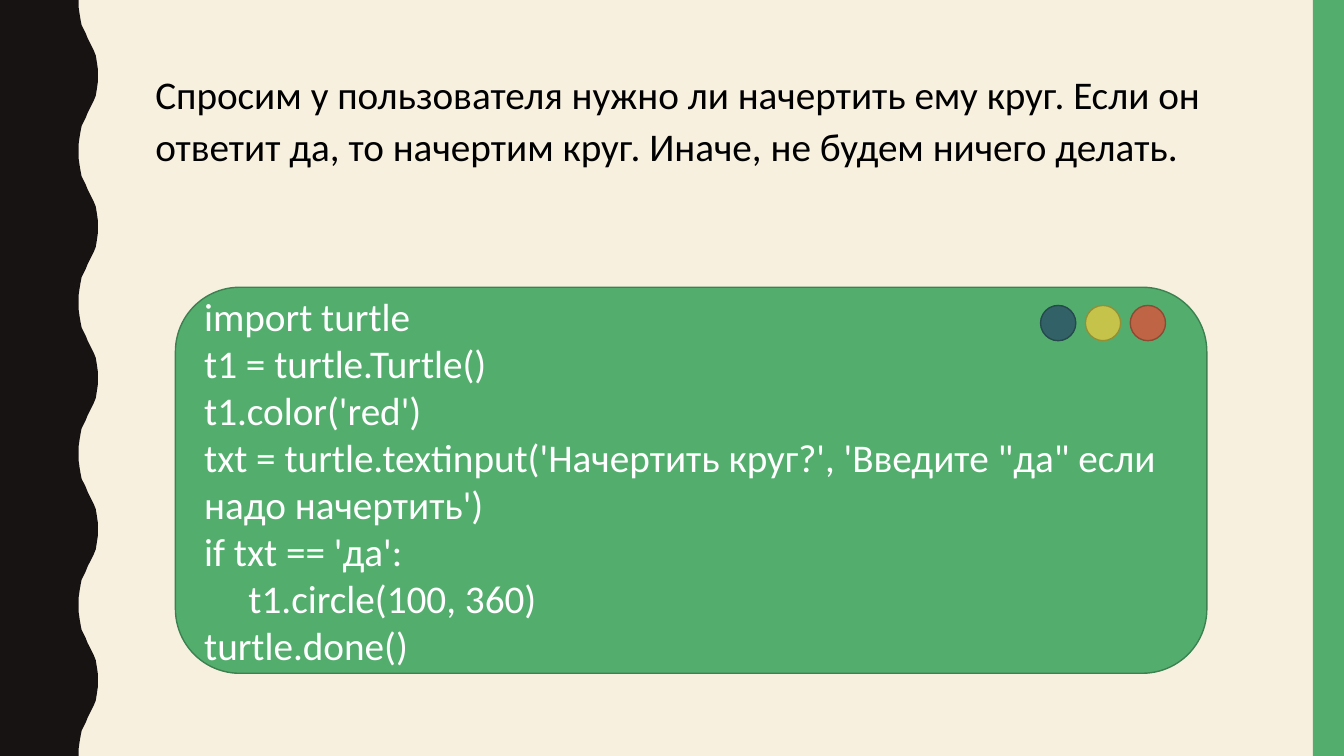
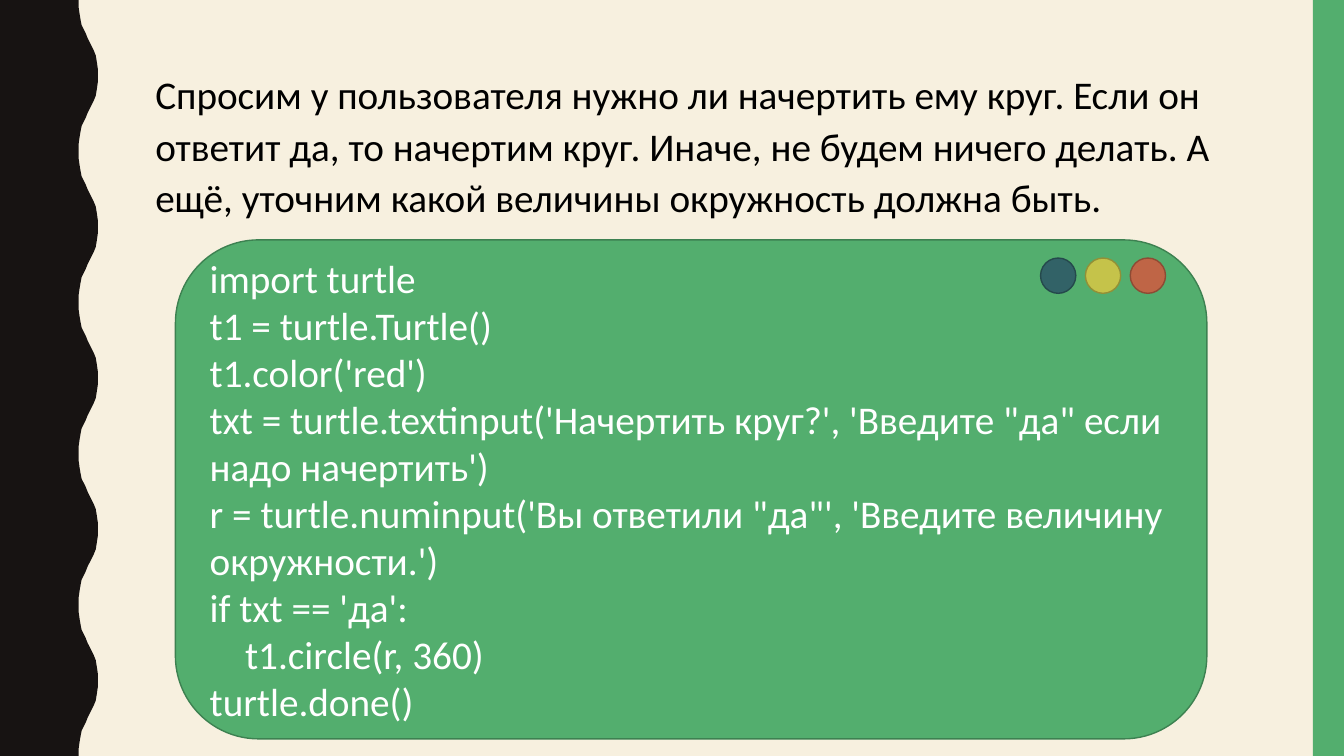
from pptx import Presentation
from pptx import util as u
from pptx.dml.color import RGBColor
from pptx.enum import shapes, text

ASK = ("Спросим у пользователя нужно ли начертить ему круг. Если он ответит да, "
       "то начертим круг. Иначе, не будем ничего делать.")
SETUP = [
    "import turtle",
    "t1 = turtle.Turtle()",
    "t1.color('red')",
    "txt = turtle.textinput('Начертить круг?', 'Введите \"да\" если надо начертить')",
]
RADIUS = "r = turtle.numinput('Вы ответили \"да\"', 'Введите величину окружности.')"
TEST = "if txt == 'да':"
DONE = "turtle.done()"

PAGES = [
    {"title": ASK, "top": 2.85, "height": 3.83,
     "code": [*SETUP, TEST, "     t1.circle(100, 360)", DONE]},
    {"title": ASK + " А ещё, уточним какой величины окружность должна быть.",
     "top": 2.38, "height": 4.95,
     "code": [*SETUP, RADIUS, TEST, "    t1.circle(r, 360)", DONE]},
]

CREAM = RGBColor(0xF7, 0xF0, 0xDF)
INK = RGBColor(0x17, 0x13, 0x12)
GREEN = RGBColor(0x53, 0xAE, 0x6E)
DARK_GREEN = RGBColor(0x3D, 0x81, 0x51)
BLACK = RGBColor(0, 0, 0)
WHITE = RGBColor(255, 255, 255)
DOTS = [
    (RGBColor(0x32, 0x62, 0x67), RGBColor(0x25, 0x49, 0x4C)),
    (RGBColor(0xC5, 0xC3, 0x4A), RGBColor(0x92, 0x90, 0x37)),
    (RGBColor(0xBF, 0x65, 0x46), RGBColor(0x8D, 0x4B, 0x34)),
]

WIDTH, HEIGHT = 13.33, 7.5
BAND_WIDTH = 0.31
TITLE_AREA = (1.44, 0.6, 11.13, 2.25)
CODE_LEFT, CODE_WIDTH = 1.74, 10.23
DOT_LEFT, DOT_DROP, DOT_SIZE, DOT_STEP = 10.32, 0.18, 0.35, 0.445
WAVE_COUNT = 5
WAVE_PERIOD = HEIGHT / WAVE_COUNT
HALF_WAVE = [
    (0.78, 0), (0.78, 0.07), (0.79, 0.14), (0.8, 0.2), (0.81, 0.25),
    (0.83, 0.29), (0.85, 0.33), (0.87, 0.38), (0.89, 0.42), (0.91, 0.46),
    (0.93, 0.5), (0.95, 0.55), (0.96, 0.61), (0.97, 0.68), (0.97, 0.75),
]
FONT = {"name": "Calibri", "size": u.Pt(28)}
TITLE_FRAME = {"word_wrap": True, "auto_size": text.MSO_AUTO_SIZE.NONE,
               "vertical_anchor": text.MSO_ANCHOR.TOP}
CODE_FRAME = {"word_wrap": True, "vertical_anchor": text.MSO_ANCHOR.MIDDLE}
TITLE_PARA = {"alignment": text.PP_ALIGN.LEFT, "line_spacing": 1.1}
CODE_PARA = {"alignment": text.PP_ALIGN.LEFT}


def set_all(target, values):
    for name, value in values.items():
        setattr(target, name, value)


def paint(shape, fill, line=None):
    shape.shadow.inherit = False
    shape.fill.solid()
    shape.fill.fore_color.rgb = fill
    if line is None:
        shape.line.fill.background()
    else:
        shape.line.color.rgb = line
        shape.line.width = u.Pt(1)


def add_preset(page, kind, area, fill, line=None):
    shape = page.shapes.add_shape(kind, *map(u.Inches, area))
    paint(shape, fill, line)
    return shape


def write(shape, lines, color, frame_format, para_format):
    frame = shape.text_frame
    set_all(frame, frame_format)
    frame.text = "\n".join(lines)
    for para in frame.paragraphs:
        set_all(para, para_format)
        for span in para.runs:
            set_all(span.font, FONT)
            span.font.color.rgb = color


def add_wave(page):
    period = HALF_WAVE + [(x, WAVE_PERIOD - y) for x, y in reversed(HALF_WAVE[:-1])]
    edge = [(x, y + WAVE_PERIOD * i) for i in range(WAVE_COUNT) for x, y in period]
    points = [(u.Inches(x), u.Inches(y)) for x, y in edge + [(0, HEIGHT)]]
    builder = page.shapes.build_freeform(0, 0)
    builder.add_line_segments(points, close=True)
    wave = builder.convert_to_shape()
    paint(wave, INK)
    return wave


def decorate(layout, page):
    layout.background.fill.solid()
    layout.background.fill.fore_color.rgb = CREAM
    band = add_preset(page, shapes.MSO_SHAPE.RECTANGLE,
                      (WIDTH - BAND_WIDTH, 0, BAND_WIDTH, HEIGHT), GREEN)
    for shape in (band, add_wave(page)):
        layout.shapes.element.insert(2, shape.element)


def fill_page(page, content):
    title = page.shapes.title
    set_all(title, dict(zip(("left", "top", "width", "height"), map(u.Inches, TITLE_AREA))))
    write(title, [content["title"]], BLACK, TITLE_FRAME, TITLE_PARA)

    top = content["top"]
    box = add_preset(page, shapes.MSO_SHAPE.ROUNDED_RECTANGLE,
                     (CODE_LEFT, top, CODE_WIDTH, content["height"]), GREEN, DARK_GREEN)
    write(box, content["code"], WHITE, CODE_FRAME, CODE_PARA)
    for i, (fill, line) in enumerate(DOTS):
        area = (DOT_LEFT + i * DOT_STEP, top + DOT_DROP, DOT_SIZE, DOT_SIZE)
        add_preset(page, shapes.MSO_SHAPE.OVAL, area, fill, line)


def main():
    deck = Presentation()
    deck.slide_width, deck.slide_height = u.Inches(WIDTH), u.Inches(HEIGHT)
    layout = deck.slide_layouts[5]
    pages = [deck.slides.add_slide(layout) for _ in PAGES]
    decorate(layout, pages[0])
    for page, content in zip(pages, PAGES):
        fill_page(page, content)
    deck.save("out.pptx")


if __name__ == "__main__":
    main()
